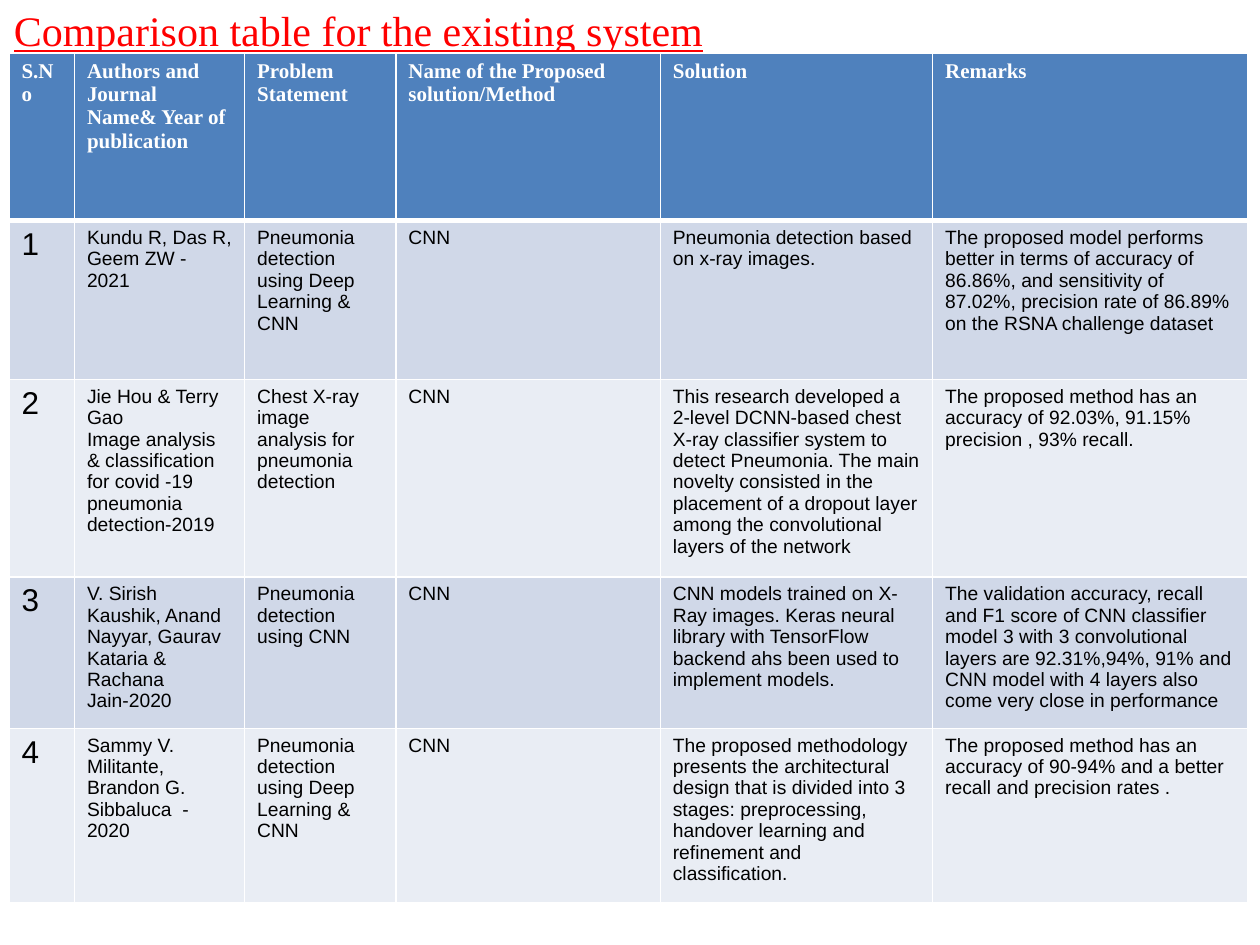
from lxml.etree import SubElement
from pptx import Presentation
from pptx.dml.color import RGBColor
from pptx.enum.text import MSO_AUTO_SIZE as AutoSize
from pptx.oxml.ns import qn
from pptx.util import Cm, Pt


def style_text(frame, color, formats):
    for para in frame.paragraphs:
        for span in para.runs:
            for name, value in formats.items():
                setattr(span.font, name, value)
            span.font.color.rgb = RGBColor.from_string(color)


def set_borders(cell, color, widths):
    properties = cell._tc.get_or_add_tcPr()
    for position, (side, width) in enumerate(widths.items()):
        line = SubElement(properties, qn(f"a:{side}"), w=str(Pt(width)))
        fill = SubElement(line, qn("a:solidFill"))
        SubElement(fill, qn("a:srgbClr"), val=color)
        properties.remove(line)
        properties.insert(position, line)  # borders come before the fill


# Text formats
TITLE = {"name": "Times New Roman", "size": Pt(24), "underline": True}
HEADER = {"name": "Times New Roman", "size": Pt(12), "bold": True}
NUMBER = {"name": "Arial", "size": Pt(18), "bold": False}
BODY = {"name": "Arial", "size": Pt(11), "bold": False}

# Table content
rows = [
    ["S.No", "Authors and Journal Name& Year of publication", "Problem Statement",
     "Name of the Proposed solution/Method", "Solution", "Remarks"],
    ["1", "Kundu R, Das R, Geem ZW - 2021",
     "Pneumonia detection using Deep Learning & CNN", "CNN",
     "Pneumonia detection based on x-ray images.",
     "The proposed model performs better in terms of accuracy of 86.86%, and "
     "sensitivity of 87.02%, precision rate of 86.89% on the RSNA challenge dataset"],
    ["2", "Jie Hou & Terry Gao \nImage analysis & classification for covid -19 "
     "pneumonia detection-2019",
     "Chest X-ray image analysis for pneumonia detection", "CNN",
     "This research developed a 2-level DCNN-based chest X-ray classifier system to "
     "detect Pneumonia. The main novelty consisted in the placement of a dropout "
     "layer among the convolutional layers of the network",
     "The proposed method has an accuracy of 92.03%, 91.15% precision , 93% recall."],
    ["3", "V. Sirish Kaushik, Anand Nayyar, Gaurav Kataria & Rachana Jain-2020",
     "Pneumonia detection using CNN", "CNN",
     "CNN models trained on X-Ray images. Keras neural library with TensorFlow "
     "backend ahs been used to implement models.",
     "The validation accuracy, recall and F1 score of CNN classifier model 3 with 3 "
     "convolutional layers are 92.31%,94%, 91% and CNN model with 4 layers also come "
     "very close in performance"],
    ["4", "Sammy V. Militante, Brandon G. Sibbaluca  - 2020",
     "Pneumonia detection using Deep Learning & CNN", "CNN",
     "The proposed methodology presents the architectural design that is divided into "
     "3 stages: preprocessing, handover learning and refinement and classification.",
     "The proposed method has an accuracy of 90-94% and a better recall and precision "
     "rates ."],
]
column_widths = [1.32, 3.43, 3.05, 5.33, 5.49, 6.35]
row_heights = [3.38, 3.2, 3.71, 3.05, 2.84]

deck = Presentation()
deck.slide_width, deck.slide_height = Cm(25.4), Cm(19.05)
page = deck.slides.add_slide(deck.slide_layouts[6])

# Title
box = page.shapes.add_textbox(Cm(0.03), Cm(-0.03), Cm(24.97), Cm(1.27))
box.text_frame.word_wrap = True
box.text_frame.auto_size = AutoSize.SHAPE_TO_FIT_TEXT
box.text_frame.text = "Comparison table for the existing system"
style_text(box.text_frame, "FF0000", TITLE)

# Comparison table
table = page.shapes.add_table(len(rows), len(column_widths), Cm(0.18), Cm(1.07),
                              Cm(sum(column_widths)), Cm(sum(row_heights))).table
for column, width in zip(table.columns, column_widths):
    column.width = Cm(width)
for row, height in zip(table.rows, row_heights):
    row.height = Cm(height)

for i, texts in enumerate(rows):
    for j, text in enumerate(texts):
        cell = table.cell(i, j)
        cell.text_frame.text = text
        if i == 0:
            fill, color, formats = "4F81BD", "FFFFFF", HEADER
        else:
            fill, color = ("D0D8E8" if i % 2 else "E9EDF4"), "000000"
            formats = BODY if j else NUMBER
        style_text(cell.text_frame, color, formats)
        cell.fill.solid()
        cell.fill.fore_color.rgb = RGBColor.from_string(fill)
        set_borders(cell, "FFFFFF", {"lnL": 1, "lnR": 1, "lnT": 3 if i == 1 else 1,
                                     "lnB": 3 if i == 0 else 1})

deck.save("out.pptx")
